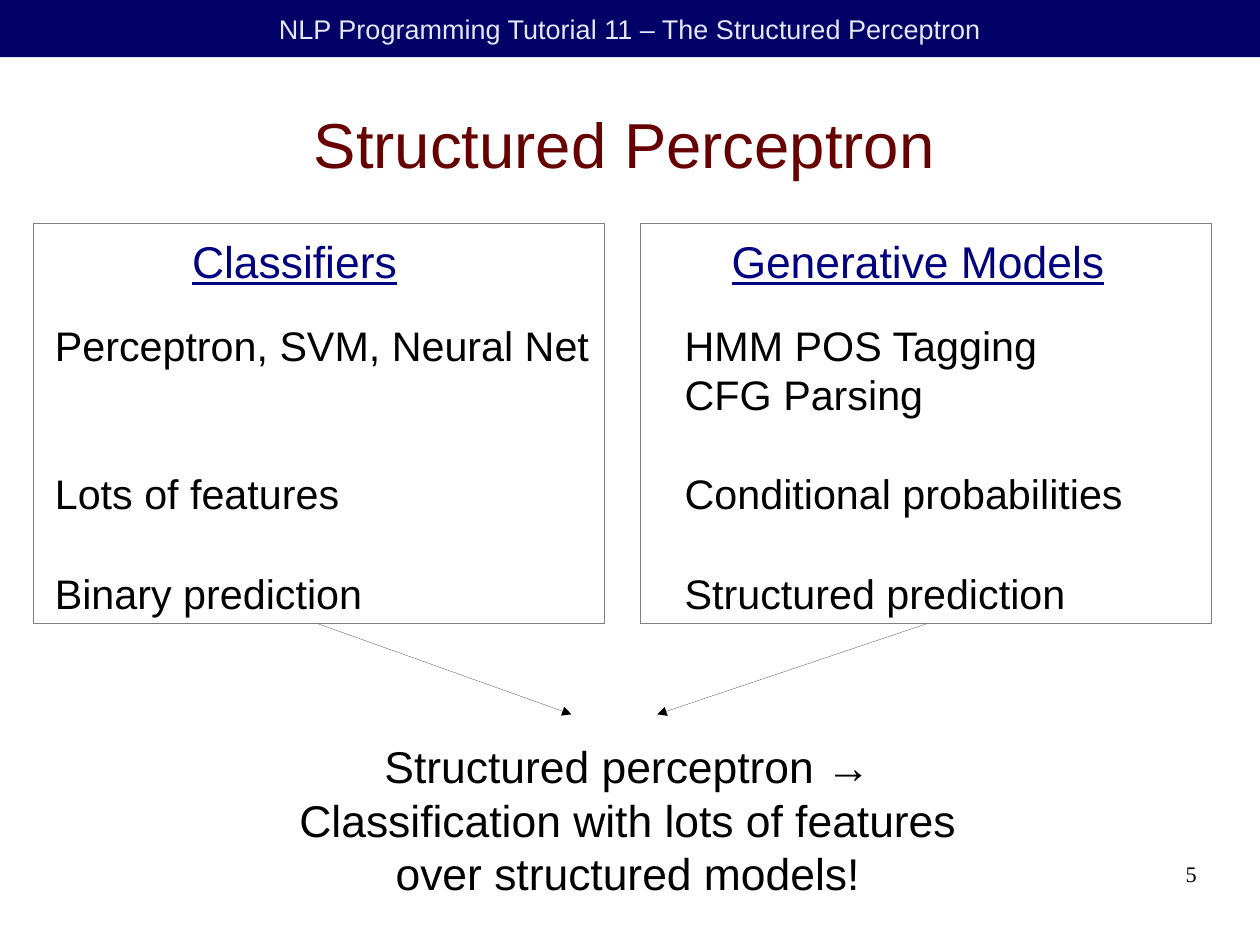
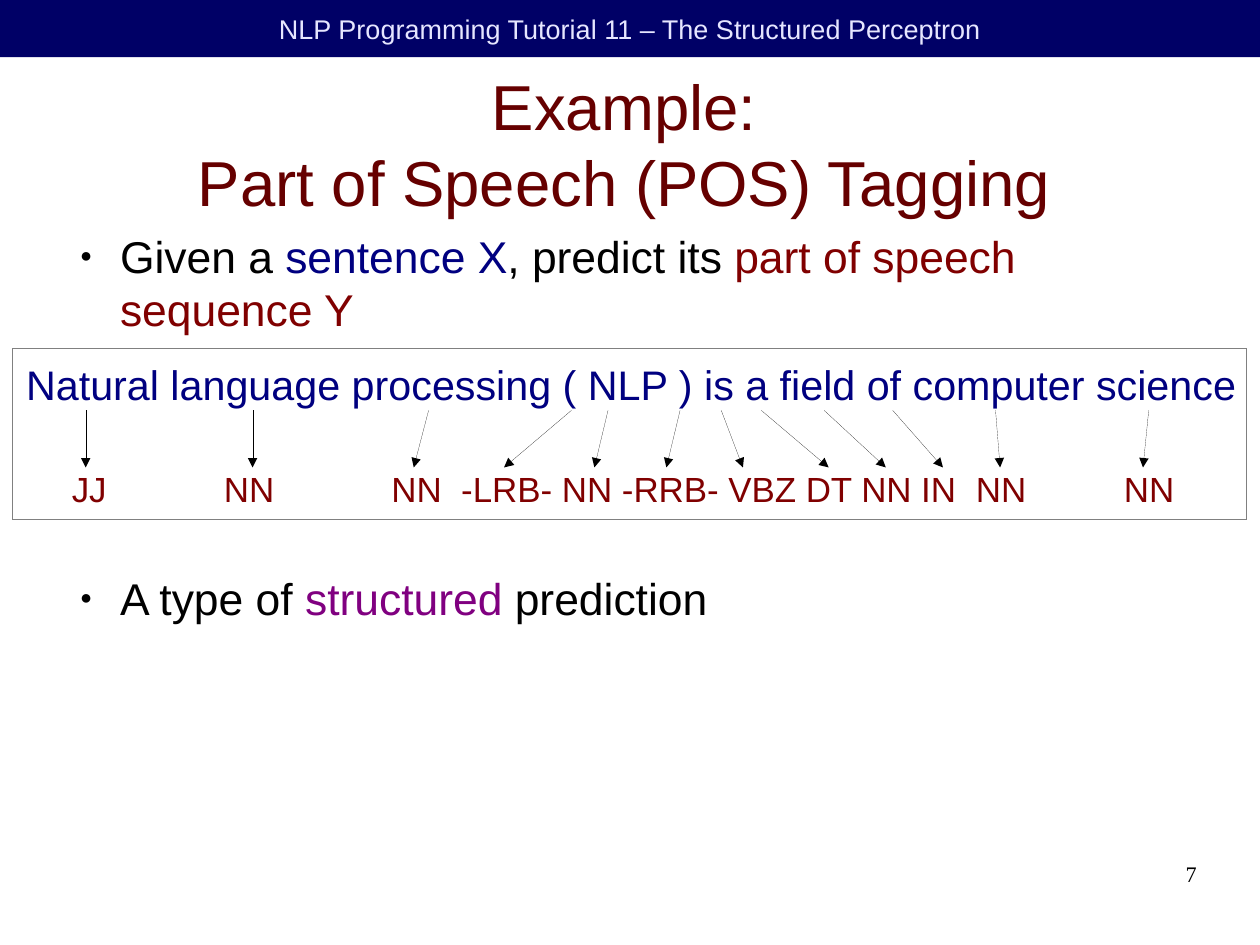
"""Build two slides of a tutorial on the structured perceptron."""

from dataclasses import dataclass
from typing import Any, NamedTuple

from lxml.etree import SubElement
from pptx import Presentation
from pptx.dml.color import RGBColor
from pptx.enum.shapes import MSO_CONNECTOR, MSO_SHAPE
from pptx.enum.text import MSO_ANCHOR, MSO_AUTO_SIZE, PP_ALIGN
from pptx.oxml.ns import qn
from pptx.shapes.autoshape import Shape
from pptx.slide import Slide
from pptx.util import Cm, Inches, Length, Pt


@dataclass(frozen=True)
class Theme:
    """Colours, fonts and type sizes of the deck."""

    band: str = "000066"
    band_text: str = "E6E6FF"
    title: str = "660000"
    ink: str = "000000"
    input_blue: str = "000080"
    output_red: str = "800000"
    accent: str = "800080"
    frame: str = "808080"
    sans: str = "Arial"
    serif: str = "Times New Roman"
    title_size: int = 40
    body_size: int = 28
    list_size: int = 26
    tag_size: int = 22
    band_size: int = 17
    number_size: int = 14
    leading: float = 1.2
    space_width: float = 0.28


THEME = Theme()
CELL = Inches(0.25)
TEXT_INSETS, NO_INSETS = (0.4, 0.2), (0, 0)
WORD_ROW, TAG_ROW = 14.36, 16.36


class Area(NamedTuple):
    """A place on the quarter-inch grid."""

    left: float
    top: float
    cols: float
    rows: float


@dataclass(frozen=True)
class Style:
    """Look of a text block."""

    size: int
    color: str = THEME.ink
    font: str = THEME.sans
    align: PP_ALIGN = PP_ALIGN.LEFT
    anchor: MSO_ANCHOR = MSO_ANCHOR.TOP
    insets: tuple[float, float] = TEXT_INSETS
    underline: bool = False
    bullet: bool = False


class Span(NamedTuple):
    """Words with their own colour or letter spacing in points."""

    words: str
    color: str = ""
    spread: float = 0


class Line(NamedTuple):
    """A paragraph, with free lines and points above it."""

    spans: tuple[Span, ...]
    free_lines: int = 0
    free_points: float = 0


class Model(NamedTuple):
    """One side of the comparison."""

    heading: str
    heading_area: Area
    traits: tuple[Line, ...]
    traits_area: Area
    panel_left: float
    arrow_tip: float


class Token(NamedTuple):
    """A word, its tag, the gap before the tag in spaces and the arrow ends."""

    word: str
    tag: str
    gap: int
    word_col: float
    tag_col: float


def line(words: str, free_lines: int = 0) -> Line:
    """Return a paragraph in the colour of its block."""
    return Line((Span(words),), free_lines)


BAND = Style(THEME.band_size, THEME.band_text, align=PP_ALIGN.CENTER, anchor=MSO_ANCHOR.MIDDLE)
TITLE = Style(THEME.title_size, THEME.title, align=PP_ALIGN.CENTER,
              anchor=MSO_ANCHOR.MIDDLE, insets=NO_INSETS)
HEADING = Style(THEME.body_size, THEME.input_blue, underline=True)
TRAITS = Style(THEME.list_size)
CONCLUSION = Style(THEME.body_size, align=PP_ALIGN.CENTER)
BULLETS = Style(THEME.body_size, insets=NO_INSETS, bullet=True)
SENTENCE = Style(THEME.list_size, THEME.input_blue)
TAGS = Style(THEME.tag_size, THEME.output_red)
NUMBER = Style(THEME.number_size, font=THEME.serif, align=PP_ALIGN.RIGHT, insets=NO_INSETS)

MODELS = (
    Model("Classifiers", Area(6.32, 8, 9, 2.12),
          (line("Perceptron, SVM, Neural Net"), line("Lots of features", 2),
           line("Binary prediction", 1)), Area(1.52, 11, 20, 10.08), 1.16, 20),
    Model("Generative Models", Area(25.2, 8, 14.5, 2.12),
          (line("HMM POS Tagging"), line("CFG Parsing"), line("Conditional probabilities", 1),
           line("Structured prediction", 1)), Area(23.56, 11, 16.5, 10.08), 22.4, 23),
)
TOKENS = (
    Token("Natural", "JJ", 0, 3, 3),
    Token("language", "NN", 12, 8.84, 8.84),
    Token("processing", "NN", 12, 15, 14.48),
    Token("(", "-LRB-", 2, 20, 17.64),
    Token("NLP", "NN", 1, 21.28, 20.8),
    Token(")", "-RRB-", 1, 23.8, 23.32),
    Token("is", "VBZ", 1, 25.24, 26),
    Token("a", "DT", 1, 26.64, 29),
    Token("field", "NN", 1, 28.84, 31),
    Token("of", "IN", 1, 31.24, 33),
    Token("computer", "NN", 2, 34.84, 35),
    Token("science", "NN", 10, 40.2, 40),
)


def cells(*counts: float) -> list[Length]:
    """Convert grid cells to lengths."""
    return [Length(round(count * CELL)) for count in counts]


def apply_format(target: Any, values: dict[str, Any]) -> None:
    """Set each attribute named in the format values."""
    for attribute, value in values.items():
        setattr(target, attribute, value)


def set_marker(paragraph: Any, bullet: bool) -> None:
    """Give a paragraph a hanging bullet, or none."""
    properties = paragraph._p.get_or_add_pPr()
    properties.set("marL", str(Inches(0.47) if bullet else 0))
    properties.set("indent", str(-Inches(0.35) if bullet else 0))
    if not bullet:
        SubElement(properties, qn("a:buNone"))
        return
    SubElement(SubElement(properties, qn("a:buClr")), qn("a:srgbClr"), val=THEME.ink)
    SubElement(properties, qn("a:buSzPct"), val="45000")
    SubElement(properties, qn("a:buFont"), typeface=THEME.sans)
    SubElement(properties, qn("a:buChar"), char="●")


def write_span(paragraph: Any, span: Span, style: Style) -> None:
    """Write the words of a span, with a line break at each newline."""
    for index, words in enumerate(span.words.split("\n")):
        if index:
            paragraph.add_line_break()
        run = paragraph.add_run()
        run.text = words
        apply_format(run.font, {"name": style.font, "size": Pt(style.size),
                                "bold": False, "underline": style.underline})
        run.font.color.rgb = RGBColor.from_string(span.color or style.color)
        if span.spread:
            run._r.get_or_add_rPr().set("spc", str(round(span.spread * 100)))


def write(holder: Any, area: Area, lines: tuple[Line, ...], style: Style) -> None:
    """Place a shape and write the lines into it in one style."""
    apply_format(holder, dict(zip(("left", "top", "width", "height"), cells(*area))))
    frame = holder.text_frame
    side, edge = cells(*style.insets)
    apply_format(frame, {
        "word_wrap": True, "auto_size": MSO_AUTO_SIZE.NONE, "vertical_anchor": style.anchor,
        "margin_left": side, "margin_right": side, "margin_top": edge, "margin_bottom": edge})
    leading = style.size * THEME.leading
    for index, content in enumerate(lines):
        paragraph = frame.add_paragraph() if index else frame.paragraphs[0]
        apply_format(paragraph, {
            "alignment": style.align, "line_spacing": Pt(leading), "space_after": Pt(0),
            "space_before": Pt(content.free_lines * leading + content.free_points)})
        set_marker(paragraph, style.bullet)
        for span in content.spans:
            write_span(paragraph, span, style)


def add_text(slide: Slide, area: Area, lines: tuple[Line, ...], style: Style) -> None:
    """Add a text box with its lines."""
    write(slide.shapes.add_textbox(*cells(*area)), area, lines, style)


def set_hairline(outlined: Any, color: str) -> None:
    """Draw an outline as thin as possible."""
    outlined.line.color.rgb = RGBColor.from_string(color)
    outlined.line._get_or_add_ln().set("w", "0")


def add_panel(slide: Slide, area: Area) -> Shape:
    """Add a hairline frame without a fill."""
    panel = slide.shapes.add_shape(MSO_SHAPE.RECTANGLE, *cells(*area))
    panel.shadow.inherit = False
    panel.fill.background()
    set_hairline(panel, THEME.frame)
    return panel


def add_arrow(slide: Slide, *ends: float) -> Any:
    """Add a hairline arrow between two grid points."""
    arrow = slide.shapes.add_connector(MSO_CONNECTOR.STRAIGHT, *cells(*ends))
    set_hairline(arrow, THEME.ink)
    SubElement(arrow.line._get_or_add_ln(), qn("a:tailEnd"), type="triangle")
    SubElement(arrow.element.spPr, qn("a:effectLst"))
    return arrow


def add_master_band(deck: Any, slide: Slide) -> None:
    """Place the tutorial band on the slide master."""
    area = Area(0, 0, deck.slide_width / CELL, 2)
    band = add_panel(slide, area)
    band.fill.solid()
    band.fill.fore_color.rgb = RGBColor.from_string(THEME.band)
    band.line.fill.background()
    write(band, area, (line("NLP Programming Tutorial 11 – The Structured Perceptron"),), BAND)
    band.element.nvSpPr.cNvPr.set("id", "99")
    deck.slide_master.shapes.element.append(band.element)


def add_slide(deck: Any, layout: str, title: str, number: str) -> Slide:
    """Add a slide with its title and number."""
    slide = deck.slides.add_slide(deck.slide_layouts.get_by_name(layout))
    write(slide.shapes.title, Area(2, 2.48, 39.68, 5.08), (line(title),), TITLE)
    add_text(slide, Area(31.6, 30.12, 10.28, 2.28), (line(number),), NUMBER)
    return slide


def build_comparison(slide: Slide) -> None:
    """Show how two kinds of models lead to the structured perceptron."""
    holders = [holder for holder in slide.placeholders if holder.placeholder_format.idx]
    for model, heading, traits in zip(MODELS, holders[::2], holders[1::2]):
        write(heading, model.heading_area, (line(model.heading),), HEADING)
        write(traits, model.traits_area, model.traits, TRAITS)
        panel = add_panel(slide, Area(model.panel_left, 7.84, 20, 14))
        arrow = add_arrow(slide, model.panel_left + 10, 21.84, model.arrow_tip, 25)
        arrow.begin_connect(panel, 2)
    conclusion = ("Structured perceptron →", "Classification with lots of features",
                  "over structured models!")
    add_text(slide, Area(8.96, 25.68, 26, 5.6), tuple(map(line, conclusion)), CONCLUSION)


def build_tagging(slide: Slide) -> None:
    """Show a sentence with a tag for each word."""
    task = Line((Span("Given a "), Span("sentence X", THEME.input_blue), Span(", predict its "),
                 Span("part of speech sequence Y", THEME.output_red)))
    kind = Line((Span("A type of "), Span("structured", THEME.accent), Span(" prediction")),
                free_lines=4, free_points=14.2)
    write(slide.placeholders[1], Area(2.32, 8, 39.68, 12.92), (task, kind), BULLETS)
    sentence = " ".join(token.word for token in TOKENS)
    add_text(slide, Area(0.52, 12.36, 43.5, 2), (line(sentence),), SENTENCE)
    tags: list[Span] = []
    for token in TOKENS:
        if token.gap:
            spread = (token.gap - 1) * THEME.space_width * THEME.tag_size
            tags.append(Span(" ", spread=spread))
        tags.append(Span(token.tag))
        add_arrow(slide, token.word_col, WORD_ROW, token.tag_col, TAG_ROW)
    add_text(slide, Area(2.12, 16.16, 40, 1.76), (Line(tuple(tags)),), TAGS)
    add_panel(slide, Area(0.44, 12.2, 43.2, 6))


def main() -> None:
    """Build and save the deck."""
    deck = Presentation()
    deck.slide_width, deck.slide_height = Cm(28), Cm(21)
    comparison = add_slide(deck, "Comparison", "Structured Perceptron", "5")
    add_master_band(deck, comparison)
    build_comparison(comparison)
    build_tagging(add_slide(deck, "Title and Content",
                            "Example:\nPart of Speech (POS) Tagging", "7"))
    deck.save("out.pptx")


if __name__ == "__main__":
    main()
